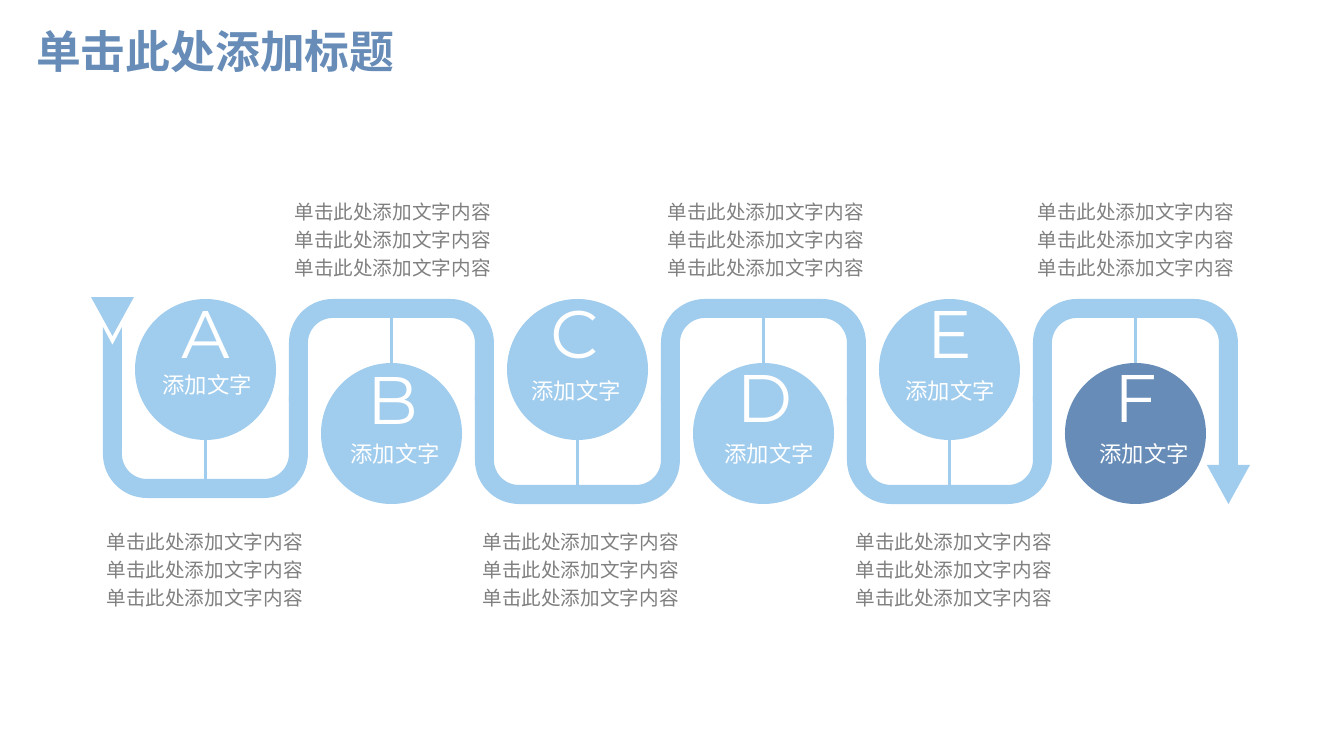
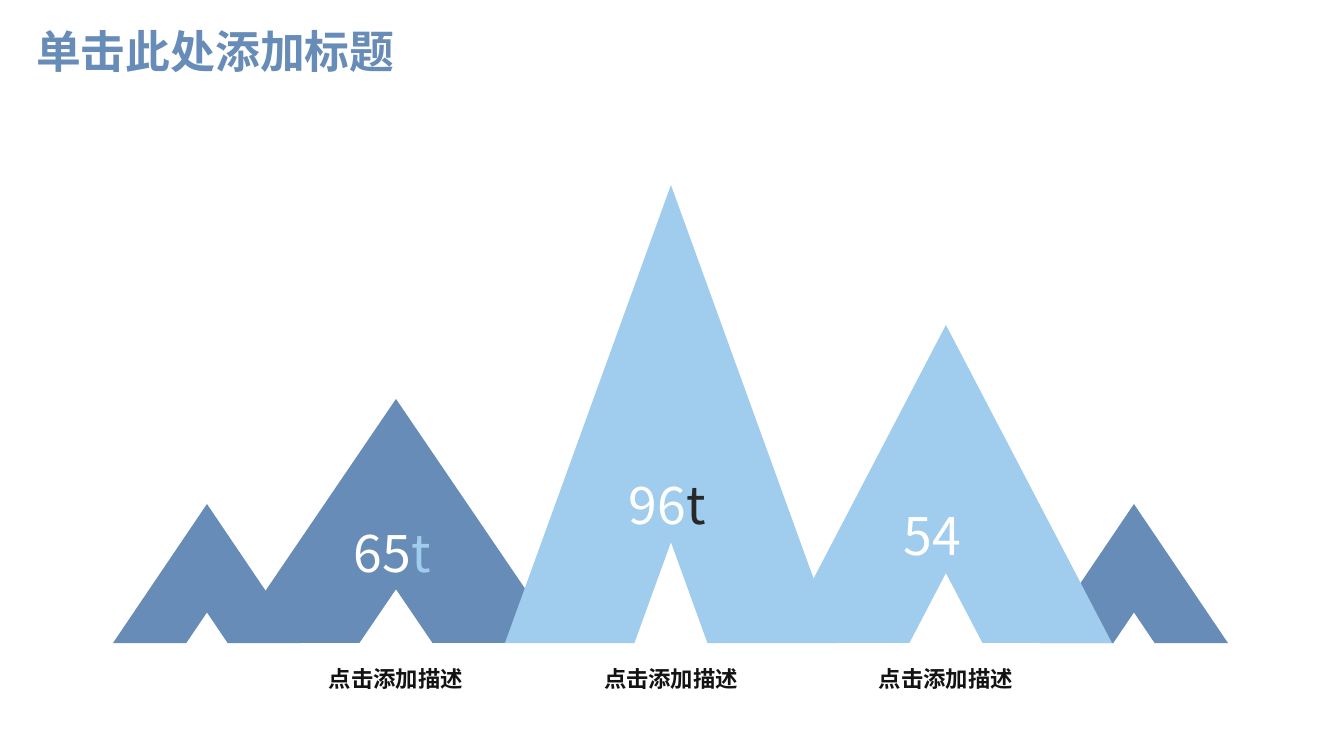
import math

from lxml import etree
from pptx import Presentation
from pptx import util as u
from pptx.dml.color import RGBColor
from pptx.enum import shapes, text
from pptx.oxml.ns import qn

PX = 12192000 / 1344  # EMU in one px
COLORS = {
    "sky": "A0CCED",
    "steel": "668CB7",
    "white": "FFFFFF",
    "gray": "808080",
    "ink": "131313",
    "charcoal": "282828",
}
CJK = "Noto Sans CJK SC"
LATIN = "Montserrat"
ALIGN = text.PP_ALIGN

# Winding ribbon: one bend per step, neighbours share a leg
PITCH = 186
BEND_WIDTH = 205
BAND = 19
CORNER = 44
CIRCLE = 141
# letter, circle colour, offsets of label and letter, caption offset
STEPS = [
    ("A", "sky", (16, 72), (0, -8), -9),
    ("B", "sky", (18, 77), (1, -6), -7),
    ("C", "sky", (13, 78), (-3, -8), -5),
    ("D", "sky", (20, 77), (1, -8), -6),
    ("E", "sky", (15, 78), (0, -8), -4),
    ("F", "steel", (23, 77), (0, -8), -8),
]

# Mountains: left, top, width, colour, number, unit, unit colour
BASE_Y = 643
HOLE_RATIO = 0.22
PEAKS = [
    (1040, 504, 188, "steel", None, "", None),
    (113, 504, 188, "steel", None, "", None),
    (230, 399, 332, "steel", "65", "t", "sky"),
    (505, 185, 332, "sky", "96", "t", "charcoal"),
    (780, 325, 332, "sky", "54", "", None),
]


def px(value):
    return u.Emu(round(value * PX))


def rgb(name):
    return RGBColor.from_string(COLORS[name])


def style_run(run, size, color, font=CJK, bold=False):
    run.font.size = u.Pt(size)
    run.font.bold = bold
    run.font.color.rgb = rgb(color)
    run.font.name = font
    properties = run._r.get_or_add_rPr()
    etree.SubElement(properties, qn("a:ea"), typeface=CJK)


def add_text(slide, box, lines, size, color, align=ALIGN.LEFT, spacing=1.0, **style):
    shape = slide.shapes.add_textbox(*map(px, box))
    frame = shape.text_frame
    frame.word_wrap = True
    frame.margin_left = frame.margin_right = 0
    frame.margin_top = frame.margin_bottom = 0
    frame.text = "\n".join(lines)
    for paragraph in frame.paragraphs:
        paragraph.alignment = align
        paragraph.line_spacing = spacing
        style_run(paragraph.runs[0], size, color, **style)
    return frame


def paint(shape, color):
    shape.shadow.inherit = False
    shape.fill.solid()
    shape.fill.fore_color.rgb = rgb(color)
    shape.line.fill.background()


def add_preset(slide, kind, box, color):
    paint(slide.shapes.add_shape(kind, *map(px, box)), color)


def add_outline(slide, points, color):
    points = [(px(x), px(y)) for x, y in points]
    builder = slide.shapes.build_freeform(*points[0], scale=1.0)
    builder.add_line_segments(points[1:], close=True)
    paint(builder.convert_to_shape(), color)


def add_titled_slide(presentation, title):
    slide = presentation.slides.add_slide(presentation.slide_layouts[5])
    shape = slide.shapes.title
    shape.left, shape.top, shape.width, shape.height = map(px, (26, 23, 1159, 62))
    frame = shape.text_frame
    frame.text = title
    frame.auto_size = text.MSO_AUTO_SIZE.NONE
    frame.vertical_anchor = text.MSO_ANCHOR.MIDDLE
    paragraph = frame.paragraphs[0]
    paragraph.alignment = ALIGN.LEFT
    paragraph.line_spacing = 0.9
    style_run(paragraph.runs[0], 32, "steel", font=LATIN, bold=True)
    return slide


def bend_side(left, bend_y, radius, down):
    """Points round both corners of a bend, from its left leg to its right leg."""
    center_y = bend_y - down * CORNER
    arc = [math.radians(angle) for angle in range(0, 91, 6)]
    offsets = [(radius * math.cos(a), center_y + down * radius * math.sin(a))
               for a in arc]
    left_center, right_center = left + CORNER, left + BEND_WIDTH - CORNER
    return ([(left_center - dx, y) for dx, y in offsets]
            + [(right_center + dx, y) for dx, y in reversed(offsets)])


def add_bend(slide, left, bend_y, left_end, right_end, notch=0):
    down = 1 if bend_y > left_end else -1
    right = left + BEND_WIDTH
    points = [(left, left_end)]
    points += bend_side(left, bend_y, CORNER, down)
    points += [(right, right_end), (right - BAND, right_end)]
    points += reversed(bend_side(left, bend_y, CORNER - BAND, down))
    points += [(left + BAND, left_end)]
    if notch:
        points.append((left + BAND / 2, left_end + notch))
    add_outline(slide, points, "sky")


def add_stem(slide, x, start_y, end_y):
    stem = slide.shapes.add_connector(
        shapes.MSO_CONNECTOR.STRAIGHT, px(x), px(start_y), px(x), px(end_y))
    stem.line.width = px(3)
    stem.line.color.rgb = rgb("sky")
    etree.SubElement(stem._element.spPr, qn("a:effectLst"))


def add_step(slide, left, bend_y, upper, step):
    letter, color, label_offset, letter_offset, caption_offset = step
    circle_left = left + (BEND_WIDTH - CIRCLE) // 2
    circle_top = 299 if upper else 363
    # Stem from the circle to the middle of the band
    stem_x = left + BEND_WIDTH / 2
    if upper:
        add_stem(slide, stem_x, circle_top + CIRCLE - 1, bend_y - BAND // 2)
    else:
        add_stem(slide, stem_x, circle_top + 1, bend_y + BAND // 2)
    # Circle with its letter and label
    add_preset(slide, shapes.MSO_SHAPE.OVAL,
               (circle_left, circle_top, CIRCLE, CIRCLE), color)
    dx, dy = label_offset
    add_text(slide, (circle_left + dx, circle_top + dy, 101, 27),
             ["添加文字"], 16, "white", ALIGN.RIGHT)
    dx, dy = letter_offset
    add_text(slide, (circle_left + dx, circle_top + dy, CIRCLE, 82),
             [letter], 48, "white", ALIGN.CENTER, font=LATIN)
    # Caption outside the bend
    add_text(slide, (left + caption_offset, 525 if upper else 195, 209, 86),
             ["单击此处添加文字内容"] * 3, 14, "gray", ALIGN.RIGHT, 1.2)


def build_ribbon(slide, left):
    last = len(STEPS) - 1
    for index, step in enumerate(STEPS):
        bend_left = left + index * PITCH
        upper = index % 2 == 0
        if index == 0:
            bend_y, ends, notch = 498, (327, 396), 18
        elif upper:
            bend_y, ends, notch = 504, (396, 396), 0
        else:
            bend_y, ends, notch = 299, (401, 476 if index == last else 401), 0
        add_bend(slide, bend_left, bend_y, *ends, notch)
        add_step(slide, bend_left, bend_y, upper, step)
    # Arrowheads at both ends of the ribbon
    end_left = left + last * PITCH + BEND_WIDTH - BAND
    for leg_left, top in ((left, 297), (end_left, 465)):
        add_preset(slide, shapes.MSO_SHAPE.FLOWCHART_MERGE,
                   (leg_left - 12, top, 43, 39), "sky")


def add_mountain(slide, left, top, width, color, number, unit, unit_color):
    apex = left + width / 2
    hole_half = width / 2 * HOLE_RATIO
    hole_top = BASE_Y - (BASE_Y - top) * HOLE_RATIO
    add_outline(slide, [
        (left, BASE_Y), (apex, top), (left + width, BASE_Y),
        (apex + hole_half, BASE_Y), (apex, hole_top), (apex - hole_half, BASE_Y),
    ], color)
    return apex, hole_top


def add_mountain_text(slide, left, apex, hole_top, number, unit, unit_color):
    frame = add_text(slide, (left + 124, hole_top - 69, 100, 63),
                     [number], 37, "white")
    if unit:
        run = frame.paragraphs[0].add_run()
        run.text = unit
        style_run(run, 37, unit_color)
    add_text(slide, (apex - 123, 665, 246, 27),
             ["点击添加描述"], 16, "ink", ALIGN.CENTER, bold=True)


def build_mountains(slide):
    spots = [add_mountain(slide, *peak) for peak in PEAKS]
    for peak, (apex, hole_top) in zip(PEAKS, spots):
        if peak[4]:
            add_mountain_text(slide, peak[0], apex, hole_top, *peak[4:])


def main():
    presentation = Presentation()
    presentation.slide_width = px(1344)
    presentation.slide_height = px(756)
    title = "单击此处添加标题"
    build_ribbon(add_titled_slide(presentation, title), 103)
    build_mountains(add_titled_slide(presentation, title))
    presentation.save("out.pptx")


if __name__ == "__main__":
    main()
